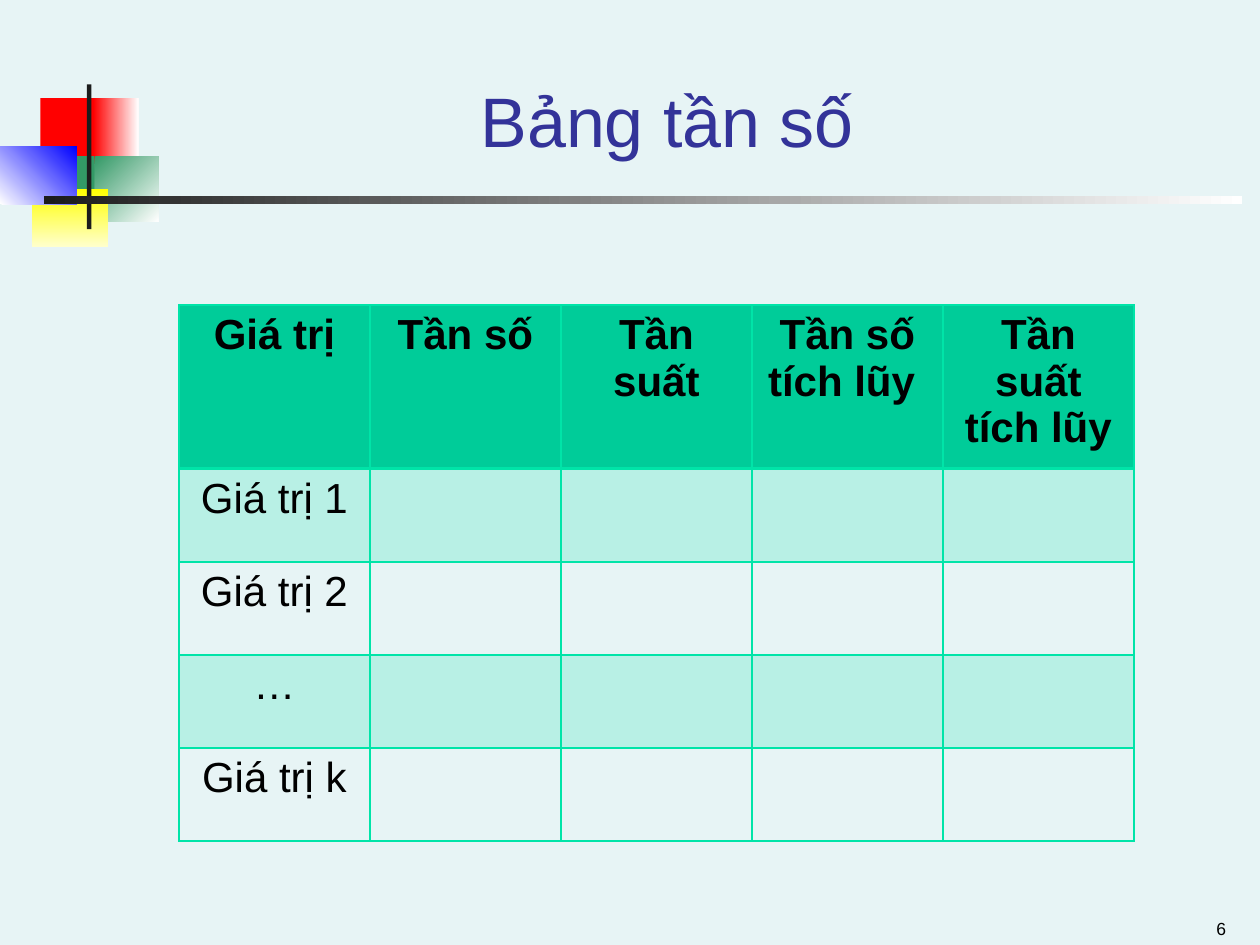
from dataclasses import dataclass
from typing import NamedTuple, Optional

from lxml import etree
from pptx import Presentation
from pptx import util as u
from pptx.dml.color import RGBColor
from pptx.enum import shapes, text
from pptx.oxml.ns import qn

SLIDE_W, SLIDE_H = u.Inches(10), u.Inches(7.5)


@dataclass(frozen=True)
class Theme:
    font: str = "Arial"
    background: str = "E7F4F5"
    title: str = "333399"
    ink: str = "000000"
    dark: str = "1C1C1C"
    white: str = "FFFFFF"
    red: str = "FF0000"
    green: str = "339966"
    yellow: str = "FFFF00"
    cream: str = "FFFFCC"
    blue: str = "0000FF"
    header: str = "00CC99"
    grid: str = "00E4A8"
    band_alpha: int = 20
    title_size: int = 40
    table_size: int = 24
    number_size: int = 10


THEME = Theme()


class Box(NamedTuple):
    """Left, top, width and height in percent of the slide."""
    x: float
    y: float
    w: float
    h: float

    def emu(self) -> tuple:
        return tuple(int(share * side / 100) for share, side
                     in zip(self, (SLIDE_W, SLIDE_H) * 2))


@dataclass(frozen=True)
class Tile:
    box: Box
    color: str
    fade_to: Optional[str] = None
    clockwise: int = 0


TILES = [
    Tile(Box(3.2, 10.4, 4.8, 6.93), THEME.red),
    Tile(Box(7.4, 10.4, 3.6, 6.93), THEME.red, THEME.white),
    Tile(Box(7.5, 16.53, 5.1, 6.93), THEME.green, THEME.white, 45),
    Tile(Box(4.3, 16.53, 3.2, 6.93), THEME.green),
    Tile(Box(2.5, 20, 6.1, 6.13), THEME.yellow, THEME.cream, 90),
    Tile(Box(0, 15.47, 6.1, 6.13), THEME.white, THEME.blue, 315),
    Tile(Box(6.9, 8.93, 0.35, 15.33), THEME.dark),
    Tile(Box(3.5, 20.8, 95.1, 0.8), THEME.dark, THEME.white),
]
TITLE_BOX = Box(12.6, 3.33, 80.7, 14.4)
NUMBER_BOX = Box(75, 95.33, 23.3, 4.67)
TABLE_BOX = Box(14.2, 32.27, 75.8, 50.53)
HEADER_SHARE = 0.22

HEADINGS = ["Giá trị", "Tần số", "Tần suất", "Tần số tích lũy ", "Tần suất tích lũy"]
VALUES = ["Giá trị 1", "Giá trị 2", "…", "Giá trị k"]


def write(frame, words: str, *, size: int, color: str = THEME.ink,
          bold: bool = False, align=text.PP_ALIGN.CENTER, anchor=None) -> None:
    frame.word_wrap = True
    if anchor is not None:
        frame.vertical_anchor = anchor
    paragraph = frame.paragraphs[0]
    paragraph.text = words
    paragraph.alignment = align
    paragraph.font.name = THEME.font
    paragraph.font.size = u.Pt(size)
    paragraph.font.bold = bold
    paragraph.font.color.rgb = RGBColor.from_string(color)


def place(shape, box: Box) -> None:
    shape.left, shape.top, shape.width, shape.height = box.emu()


def draw_tile(slide, tile: Tile) -> None:
    shape = slide.shapes.add_shape(shapes.MSO_SHAPE.RECTANGLE, *tile.box.emu())
    shape.shadow.inherit = False
    shape.line.fill.background()
    if tile.fade_to is None:
        shape.fill.solid()
        shape.fill.fore_color.rgb = RGBColor.from_string(tile.color)
        return
    shape.fill.gradient()
    shape.fill.gradient_angle = (360 - tile.clockwise) % 360
    for stop, color in zip(shape.fill.gradient_stops, (tile.color, tile.fade_to)):
        stop.color.rgb = RGBColor.from_string(color)


def border_cell(cell, widths: dict) -> None:
    """Draw cell edges; widths maps L, R, T, B to points."""
    properties = cell._tc.get_or_add_tcPr()
    for side, width in widths.items():
        line = etree.SubElement(properties, qn(f"a:ln{side}"), w=str(u.Pt(width)))
        solid = etree.SubElement(line, qn("a:solidFill"))
        etree.SubElement(solid, qn("a:srgbClr"), val=THEME.grid)


def fill_cell(cell, color: Optional[str], alpha: int = 100) -> None:
    if color is None:
        cell.fill.background()
        return
    cell.fill.solid()
    cell.fill.fore_color.rgb = RGBColor.from_string(color)
    if alpha < 100:
        tint = cell._tc.tcPr.find(f"{qn('a:solidFill')}/{qn('a:srgbClr')}")
        etree.SubElement(tint, qn("a:alpha"), val=str(alpha * 1000))


def draw_frequency_table(slide) -> None:
    rows = [HEADINGS] + [[value] + [""] * (len(HEADINGS) - 1) for value in VALUES]
    table = slide.shapes.add_table(len(rows), len(HEADINGS), *TABLE_BOX.emu()).table
    table.first_row = table.horz_banding = False
    style = table._tbl.tblPr.find(qn("a:tableStyleId"))
    style.text = "{2D5ABB26-0587-4C30-8999-92F81FD0307C}"  # no style, no grid

    height = TABLE_BOX.emu()[3]
    for r, words in enumerate(rows):
        is_header = r == 0
        share = HEADER_SHARE if is_header else (1 - HEADER_SHARE) / len(VALUES)
        table.rows[r].height = int(height * share)
        for c, word in enumerate(words):
            cell = table.cell(r, c)
            write(cell.text_frame, word, size=THEME.table_size, bold=is_header)
            border_cell(cell, {"L": 1, "R": 1, "T": 2 if r == 1 else 1,
                               "B": 2 if is_header else 1})
            if is_header:
                fill_cell(cell, THEME.header)
            else:
                fill_cell(cell, THEME.grid if r % 2 else None, THEME.band_alpha)


def main() -> None:
    deck = Presentation()
    deck.slide_width, deck.slide_height = SLIDE_W, SLIDE_H
    slide = deck.slides.add_slide(deck.slide_layouts[5])
    slide.background.fill.solid()
    slide.background.fill.fore_color.rgb = RGBColor.from_string(THEME.background)

    for tile in TILES:
        draw_tile(slide, tile)

    title = slide.shapes.title
    place(title, TITLE_BOX)
    write(title.text_frame, "Bảng tần số", size=THEME.title_size,
          color=THEME.title, anchor=text.MSO_ANCHOR.BOTTOM)

    number = slide.shapes.add_textbox(*NUMBER_BOX.emu())
    write(number.text_frame, "6", size=THEME.number_size,
          align=text.PP_ALIGN.RIGHT, anchor=text.MSO_ANCHOR.BOTTOM)

    draw_frequency_table(slide)
    deck.save("out.pptx")


if __name__ == "__main__":
    main()
